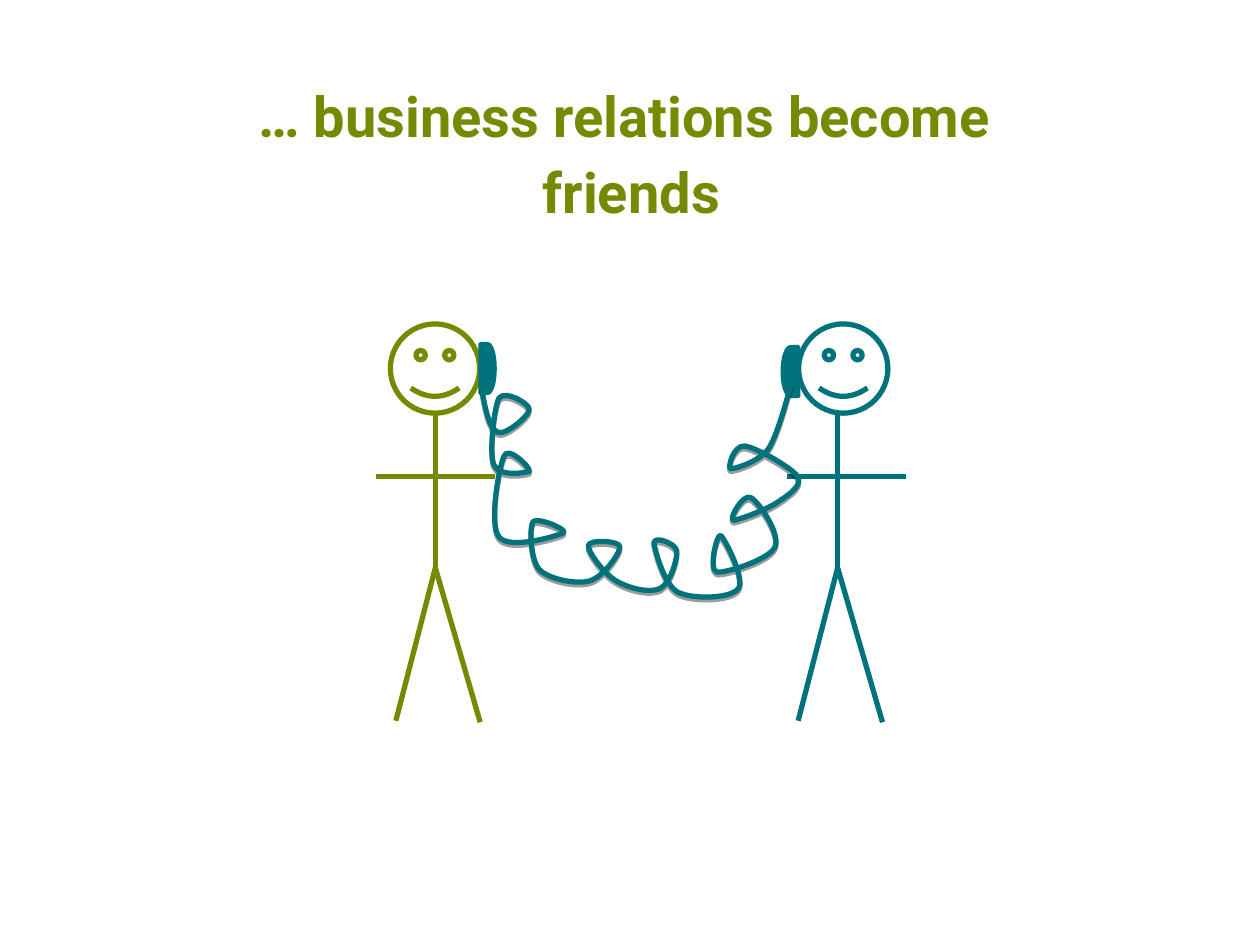
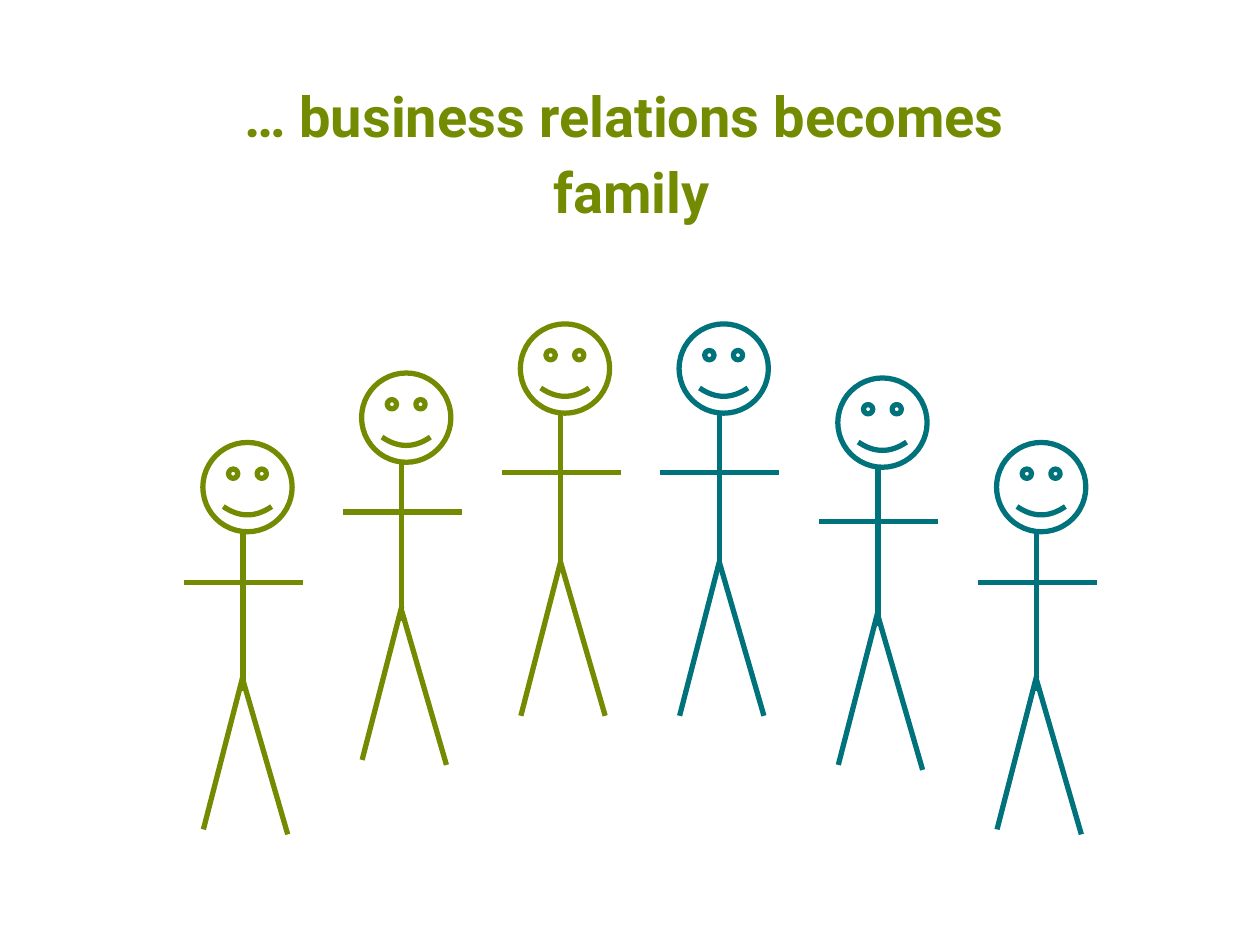
from lxml.etree import SubElement
from pptx import Presentation
from pptx.dml.color import RGBColor
from pptx.enum.shapes import MSO_CONNECTOR, MSO_SHAPE
from pptx.enum.text import MSO_ANCHOR, MSO_AUTO_SIZE, PP_ALIGN
from pptx.oxml.ns import qn
from pptx.util import Cm, Pt

GREEN = RGBColor(0x73, 0x8B, 0x01)
TEAL = RGBColor(0x00, 0x72, 0x7B)
FONT = "Roboto"
STROKE = Pt(3)

HEAD = 1.8
HIP = 5.0
ARM_SPAN = 2.4
LEG_HEIGHT = 3.1
LEFT_STEP, RIGHT_STEP = -0.8, 0.9

# Each figure: colour, head left, head top, then offsets from the head:
# body x, arms x, arms y, left leg y, right leg y (all in cm)
FRIENDS = [
    (GREEN, 7.87, 6.53, 0.91, -0.3, 3.07, 4.9, 4.93),
    (TEAL, 16.1, 6.53, 0.79, -0.23, 3.07, 4.9, 4.93),
]
FAMILY_ROWS = [
    (GREEN, 8.92, 2.82, 4.7, 4.8),
    (GREEN, 7.52, 2.8, 4.7, 4.8),
    (GREEN, 6.53, 3.0, 4.8, 4.8),
    (TEAL, 6.53, 3.0, 4.8, 4.8),
    (TEAL, 7.62, 2.9, 4.7, 4.8),
    (TEAL, 8.92, 2.82, 4.7, 4.8),
]
FAMILY = [
    (colour, 4.09 + 3.2 * place, top, 0.81, -0.38, arms, left_leg, right_leg)
    for place, (colour, top, arms, left_leg, right_leg) in enumerate(FAMILY_ROWS)
]
SLIDES = [("friends", "become", FRIENDS), ("family", "becomes", FAMILY)]

# Telephone cord in hundredths of an inch: a start, then two handles and a node per curve
CORD_UNIT = Cm(2.54) / 100
CORD_START = (382, 307)
CORD_CURVES = [
    (385, 324), (388, 340), (395, 343),
    (401, 346), (420, 330), (420, 325),
    (421, 321), (401, 309), (396, 316),
    (392, 324), (388, 360), (392, 369),
    (396, 379), (419, 375), (420, 374),
    (422, 372), (403, 353), (400, 362),
    (396, 370), (388, 416), (396, 426),
    (404, 437), (443, 425), (447, 423),
    (452, 421), (427, 410), (423, 414),
    (420, 419), (421, 444), (428, 452),
    (436, 460), (458, 464), (468, 461),
    (479, 458), (492, 439), (492, 434),
    (492, 429), (467, 428), (467, 433),
    (466, 437), (479, 455), (489, 461),
    (499, 467), (516, 471), (524, 467),
    (532, 463), (538, 443), (537, 437),
    (536, 431), (519, 425), (519, 431),
    (520, 437), (527, 464), (538, 470),
    (550, 476), (581, 475), (586, 467),
    (592, 460), (575, 427), (572, 425),
    (569, 423), (562, 452), (569, 454),
    (576, 455), (611, 444), (615, 434),
    (620, 424), (602, 398), (596, 395),
    (590, 391), (578, 412), (582, 413),
    (585, 413), (610, 404), (618, 398),
    (627, 392), (637, 385), (633, 378),
    (628, 371), (600, 355), (591, 354),
    (582, 353), (577, 372), (580, 372),
    (583, 372), (602, 367), (610, 356),
    (618, 344), (628, 304), (628, 304),
]


def add_stroke(slide, colour, x1, y1, x2, y2):
    line = slide.shapes.add_connector(
        MSO_CONNECTOR.STRAIGHT, Cm(x1), Cm(y1), Cm(x2), Cm(y2))
    line.line.color.rgb = colour
    line.line.width = STROKE
    SubElement(line._element.spPr, qn("a:effectLst"))


def add_figure(slide, colour, left, top, body, arms, arms_y, left_leg, right_leg):
    head = slide.shapes.add_shape(
        MSO_SHAPE.SMILEY_FACE, Cm(left), Cm(top), Cm(HEAD), Cm(HEAD))
    head.adjustments[0] = 0.093
    head.shadow.inherit = False
    head.fill.background()
    head.line.color.rgb = colour
    head.line.width = STROKE
    spine = left + body
    add_stroke(slide, colour, spine, top + HEAD, spine, top + HIP)
    add_stroke(slide, colour, left + arms, top + arms_y,
               left + arms + ARM_SPAN, top + arms_y)
    for step, leg in ((LEFT_STEP, left_leg), (RIGHT_STEP, right_leg)):
        add_stroke(slide, colour, spine, top + leg, spine + step, top + leg + LEG_HEIGHT)


presentation = Presentation()
presentation.slide_width = Cm(25.4)
presentation.slide_height = Cm(19.05)

for ending, verb, figures in SLIDES:
    slide = presentation.slides.add_slide(presentation.slide_layouts[5])
    title = slide.shapes.title
    title.left, title.top, title.width, title.height = Cm(1.3), Cm(1.52), Cm(22.86), Cm(3.4)
    frame = title.text_frame
    frame.text = f"… business relations {verb} \n{ending}"
    frame.word_wrap = True
    frame.auto_size = MSO_AUTO_SIZE.NONE
    frame.vertical_anchor = MSO_ANCHOR.TOP
    for paragraph in frame.paragraphs:
        paragraph.alignment = PP_ALIGN.CENTER
        paragraph.font.name = FONT
        paragraph.font.size = Pt(32)
        paragraph.font.bold = True
        paragraph.font.color.rgb = GREEN
    frame.paragraphs[1].space_before = Pt(4.8)
    for figure in figures:
        add_figure(slide, *figure)

# Telephone between the two friends
slide = presentation.slides[0]
for left, top, width, turn in ((9.68, 6.93, 0.3, 0), (15.77, 6.99, 0.33, 180)):
    handset = slide.shapes.add_shape(
        MSO_SHAPE.FLOWCHART_DELAY, Cm(left), Cm(top), Cm(width), Cm(1))
    handset.rotation = turn
    handset.shadow.inherit = False
    handset.fill.solid()
    handset.fill.fore_color.rgb = TEAL
    handset.line.color.rgb = TEAL
    handset.line.width = Pt(2)

builder = slide.shapes.build_freeform(*CORD_START, scale=CORD_UNIT)
builder.add_line_segments(CORD_CURVES, close=False)
cord = builder.convert_to_shape()
cord.fill.background()
cord.line.color.rgb = TEAL
cord.line.width = STROKE

# Every three straight segments turn into one Bézier curve
outline = cord._element.find(".//" + qn("a:path"))
segments = outline.findall(qn("a:lnTo"))
for start in range(0, len(segments), 3):
    curve = SubElement(outline, qn("a:cubicBezTo"))
    for segment in segments[start:start + 3]:
        curve.append(segment[0])
        outline.remove(segment)

cord.shadow.inherit = False
effects = cord._element.spPr.find(qn("a:effectLst"))
shadow = SubElement(effects, qn("a:outerShdw"), blurRad="0",
                    dist=str(Pt(1.6)), dir="5400000", rotWithShape="0")
shadow_colour = SubElement(shadow, qn("a:srgbClr"), val="000000")
SubElement(shadow_colour, qn("a:alpha"), val="38000")

presentation.save("out.pptx")
